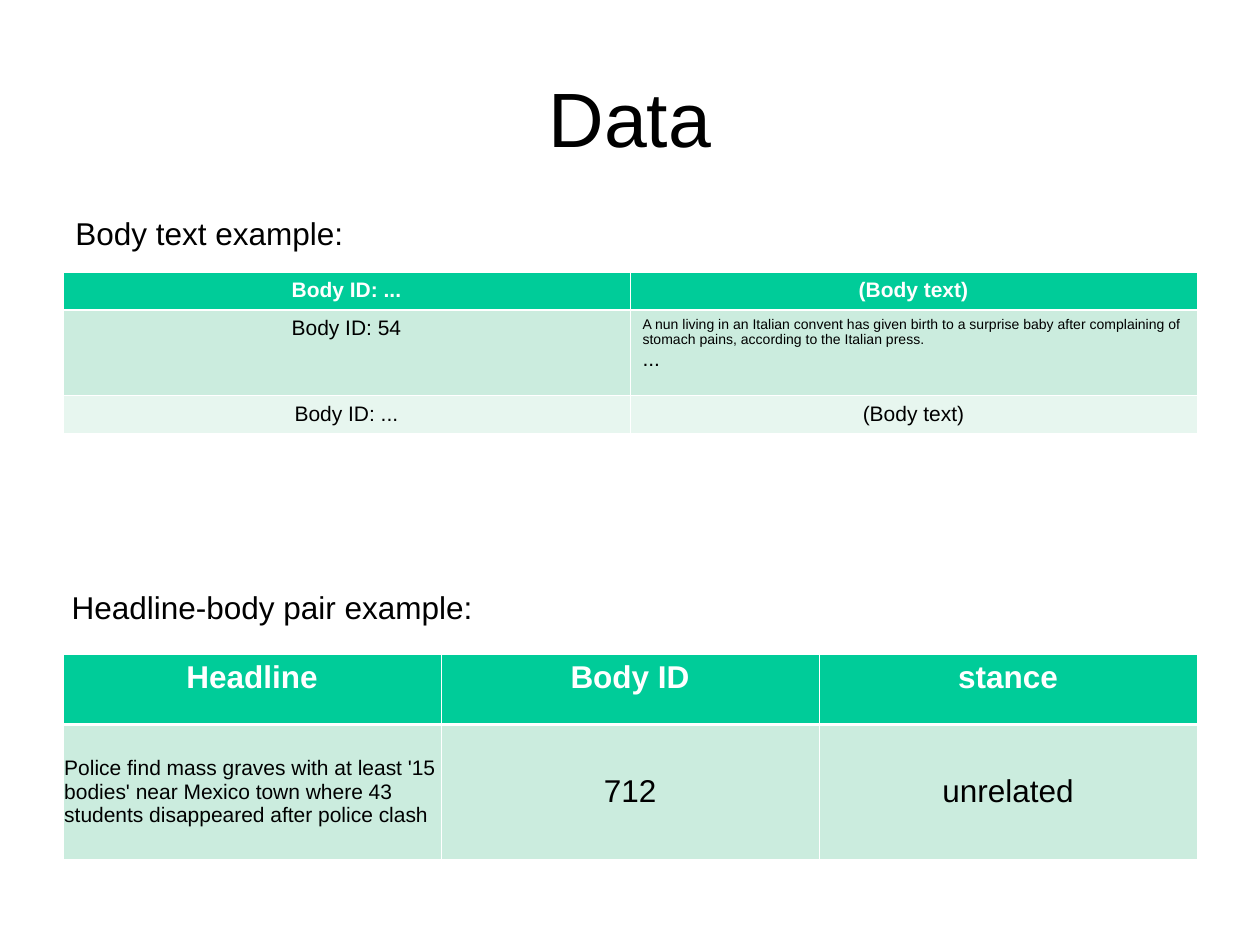
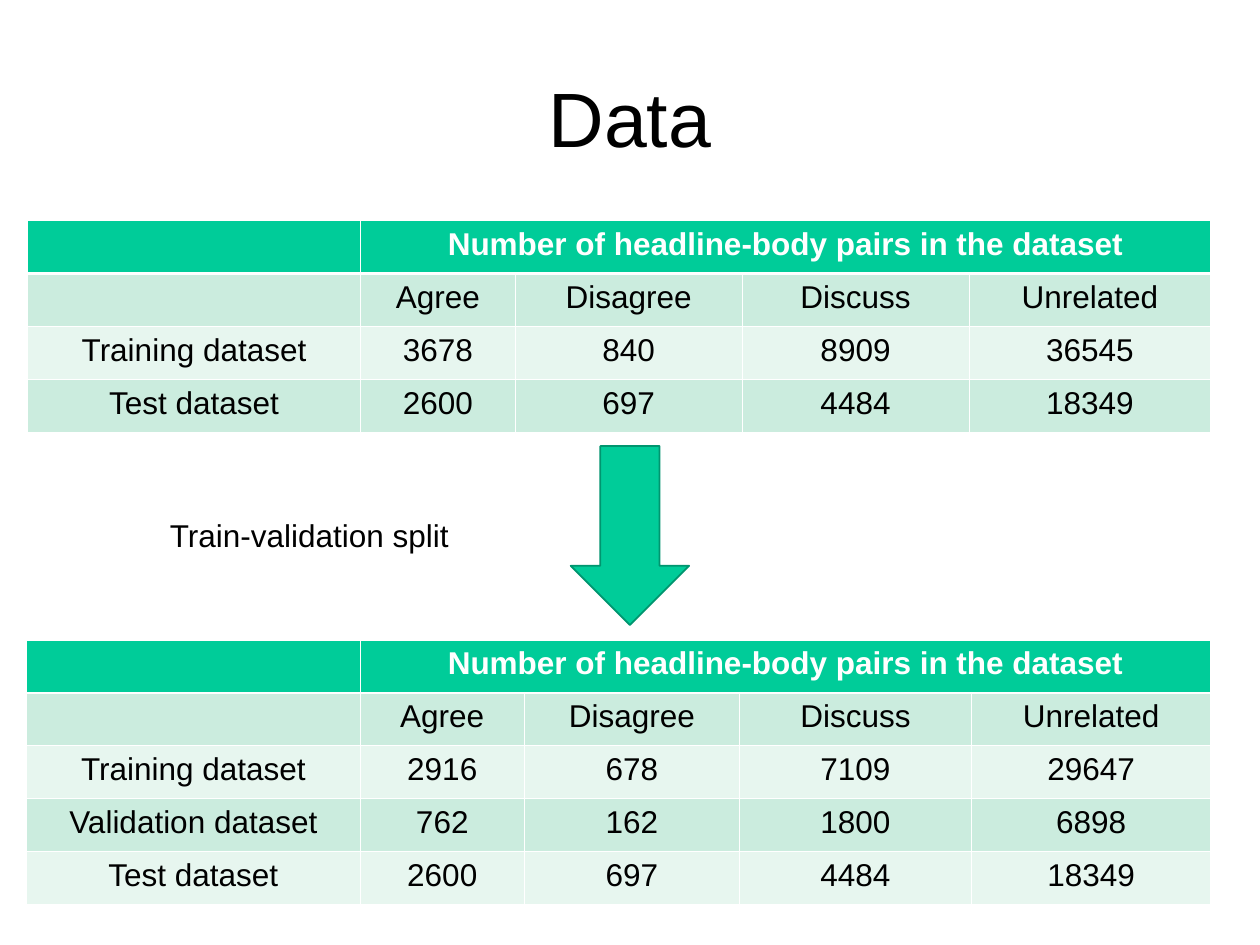
import pptx
import pptx.util
import pptx.dml.color
import pptx.enum.shapes
import pptx.enum.text
import pptx.oxml
import pptx.oxml.ns

Inches = pptx.util.Inches
Pt = pptx.util.Pt
RGB = pptx.dml.color.RGBColor.from_string
ALIGN = pptx.enum.text.PP_ALIGN
MIDDLE = pptx.enum.text.MSO_ANCHOR.MIDDLE
COLORS = {"header": "00CC99", "dark_band": "CBECDE", "light_band": "E7F6EF",
          "outline": "00956F", "text": "000000", "white": "FFFFFF"}
FONT = "Arial"
THIN, THICK = 0.45, 1.47


def add_run(p, text, size, color="text", bold=False, align=ALIGN.LEFT):
    p.alignment = align
    r = p.add_run()
    r.text = text
    r.font.name = FONT
    r.font.size = Pt(size)
    r.font.bold = bold
    r.font.color.rgb = RGB(COLORS[color])


def add_table(s, left, top, cols, rows, data, size):
    frame = s.shapes.add_table(len(rows), len(cols), Inches(left), Inches(top),
                               Inches(sum(cols)), Inches(sum(rows)))
    table = frame.table
    for column, width in zip(table.columns, cols):
        column.width = Inches(width)
    for i, (height, values) in enumerate(zip(rows, data)):
        table.rows[i].height = Inches(height)
        band = "header" if i == 0 else ("light_band", "dark_band")[i % 2]
        for j, value in enumerate(values):
            cell = table.cell(i, j)
            tcPr = cell._tc.get_or_add_tcPr()
            widths = {"L": THIN, "R": THIN, "T": THICK if i == 1 else THIN,
                      "B": THICK if i == 0 else THIN}
            for side, width in widths.items():
                tcPr.append(pptx.oxml.parse_xml(
                    f'<a:ln{side} {pptx.oxml.ns.nsdecls("a")} w="{int(Pt(width))}">'
                    f'<a:solidFill><a:srgbClr val="{COLORS["white"]}"/></a:solidFill></a:ln{side}>'))
            cell.fill.solid()
            cell.fill.fore_color.rgb = RGB(COLORS[band])
            tf = cell.text_frame
            if isinstance(value, list):
                for k, (text, text_size) in enumerate(value):
                    p = tf.add_paragraph() if k else tf.paragraphs[0]
                    add_run(p, text, text_size)
            elif value:
                add_run(tf.paragraphs[0], value, size, "white" if i == 0 else "text",
                        i == 0, ALIGN.CENTER)
    return table


prs = pptx.Presentation()
prs.slide_width, prs.slide_height = Inches(10), Inches(7.5)

labels = [
    [("Body text example:", 0.5, 1.65, 2.61), ("Headline-body pair example:", 0.47, 4.62, 3.43)],
    [("Train-validation split", 1.25, 4.05, 3.08)],
]
slides = []
for slide_labels in labels:
    s = prs.slides.add_slide(prs.slide_layouts[5])
    slides.append(s)
    title = s.shapes.title
    title.left, title.top, title.width, title.height = map(Inches, (0.5, 0.3, 9, 1.25))
    title.text_frame.vertical_anchor = MIDDLE
    add_run(title.text_frame.paragraphs[0], "Data", 44, align=ALIGN.CENTER)
    for text, left, top, width in slide_labels:
        tf = s.shapes.add_textbox(Inches(left), Inches(top), Inches(width), Inches(0.4)).text_frame
        tf.word_wrap = True
        add_run(tf.paragraphs[0], text, 18)

examples, counts = slides

body_article = [
    ("A nun living in an Italian convent has given birth to a surprise baby after complaining of "
     "stomach pains, according to the Italian press.", 8),
    ("...", 12),
]
add_table(examples, 0.5, 2.16, [4.5] * 2, [0.28, 0.68, 0.28], [
    ["Body ID: ...", "(Body text)"],
    ["Body ID: 54", body_article],
    ["Body ID: ...", "(Body text)"],
], 12)

headline = [("Police find mass graves with at least '15 bodies' near Mexico town where 43 "
             "students disappeared after police clash", 12)]
pairs = add_table(examples, 0.5, 5.19, [3] * 3, [0.56, 1.07], [
    ["Headline", "Body ID", "stance"],
    [headline, "712", "unrelated"],
], 18)
for j in range(3):
    cell = pairs.cell(1, j)
    cell.vertical_anchor = MIDDLE
    cell.margin_left = cell.margin_right = Inches(0.01)

count_head = [
    ["", "Number of headline-body pairs in the dataset", "", "", ""],
    ["", "Agree", "Disagree", "Discuss", "Unrelated"],
]
test_row = ["Test dataset", "2600", "697", "4484", "18349"]
count_tables = [
    (0.22, 1.75, [2.64, 1.23, 1.8, 1.8, 1.92], [
        ["Training dataset", "3678", "840", "8909", "36545"],
    ]),
    (0.21, 5.08, [2.65, 1.3, 1.71, 1.84, 1.9], [
        ["Training dataset", "2916", "678", "7109", "29647"],
        ["Validation dataset", "762", "162", "1800", "6898"],
    ]),
]
for left, top, cols, split_rows in count_tables:
    data = count_head + split_rows + [test_row]
    table = add_table(counts, left, top, cols, [0.42] * len(data), data, 18)
    table.cell(0, 1).merge(table.cell(0, 4))

arrow = counts.shapes.add_shape(pptx.enum.shapes.MSO_SHAPE.DOWN_ARROW, Inches(4.53), Inches(3.54),
                                Inches(0.94), Inches(1.42))
arrow.shadow.inherit = False
arrow.fill.solid()
arrow.fill.fore_color.rgb = RGB(COLORS["header"])
arrow.line.color.rgb = RGB(COLORS["outline"])
arrow.line.width = Pt(1)

prs.save("out.pptx")
